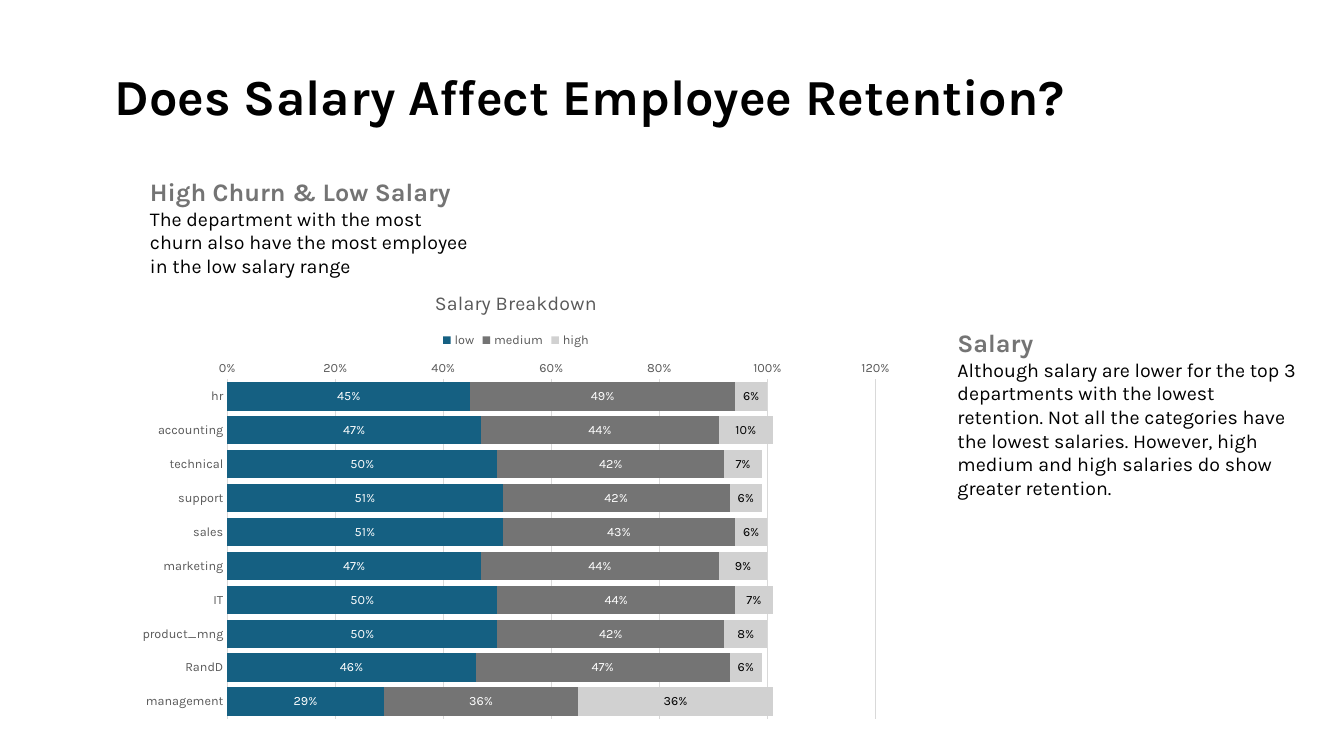
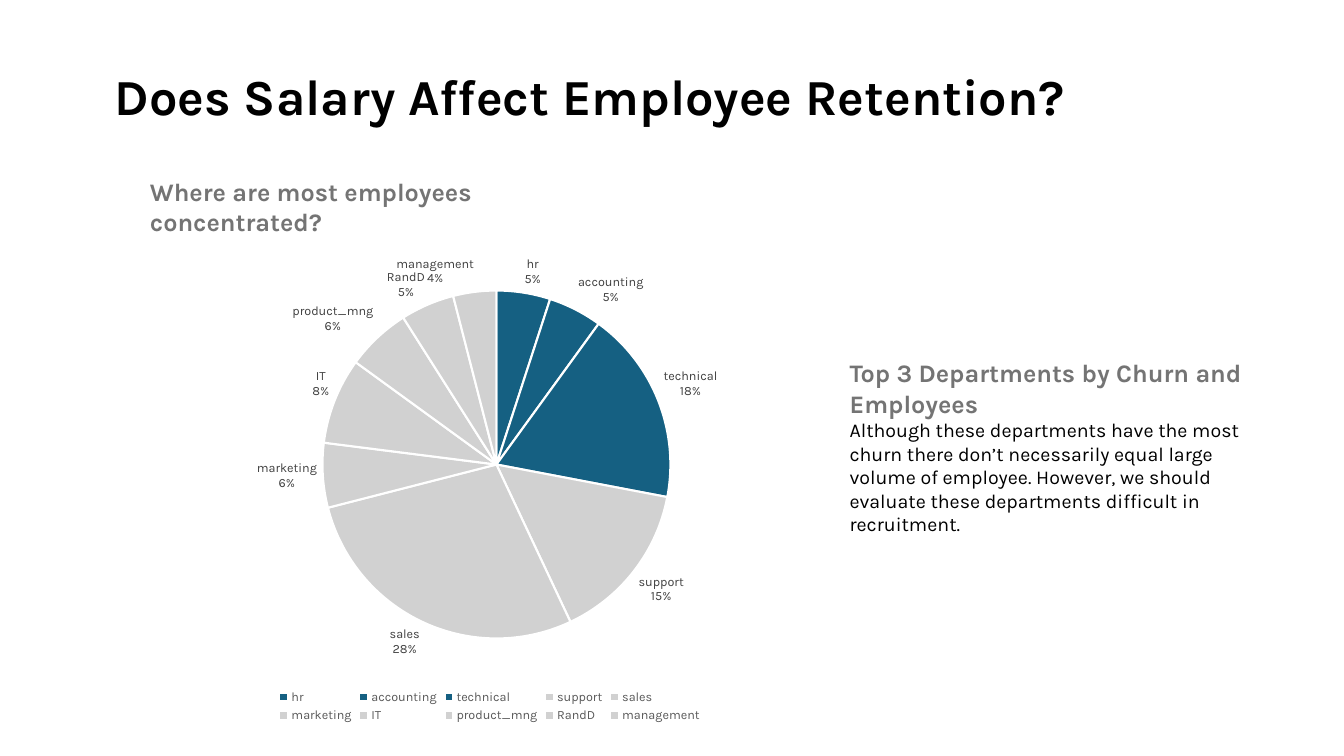
from pptx import Presentation
from pptx.chart.data import CategoryChartData
from pptx.dml.color import RGBColor
from pptx.enum.chart import XL_CHART_TYPE, XL_LABEL_POSITION, XL_LEGEND_POSITION, XL_TICK_MARK
from pptx.enum.text import MSO_ANCHOR, MSO_AUTO_SIZE, PP_ALIGN
from pptx.util import Cm, Pt

FONT = "Karla"
COLORS = {"black": "000000", "white": "FFFFFF", "blue": "156082", "gray": "747474",
          "light": "D1D1D1", "grid": "D9D9D9", "axis": "595959", "label": "404040"}
TITLE = "Does Salary Affect Employee Retention?"
DEPARTMENTS = ["hr", "accounting", "technical", "support", "sales",
               "marketing", "IT", "product_mng", "RandD", "management"]


def rgb(name):
    return RGBColor.from_string(COLORS[name])


def set_font(font, size, color, bold=False):
    font.name, font.size, font.bold = FONT, Pt(size), bold
    font.color.rgb = rgb(color)


# Per slide: text boxes (position, heading, body), chart position
pages = [
    {"texts": [
        ((23.88, 8.13, 9.17, 4.01), "Salary",
         "Although salary are lower for the top 3 departments with the lowest retention. "
         "Not all the categories have the lowest salaries. However, high medium and high "
         "salaries do show greater retention."),
        ((3.53, 4.32, 8.81, 2.82), "High Churn & Low Salary",
         "The department with the most churn also have the most employee in the low salary range")],
     "type": XL_CHART_TYPE.BAR_STACKED, "format": "0%", "at": (3.2, 6.86, 19.61, 11.48),
     "legend": XL_LEGEND_POSITION.TOP,
     "series": {"low": [0.45, 0.47, 0.5, 0.51, 0.51, 0.47, 0.5, 0.5, 0.46, 0.29],
                "medium": [0.49, 0.44, 0.42, 0.42, 0.43, 0.44, 0.44, 0.42, 0.47, 0.36],
                "high": [0.06, 0.1, 0.07, 0.06, 0.06, 0.09, 0.07, 0.08, 0.06, 0.36]}},
    {"texts": [
        ((21.16, 8.89, 10.54, 4.88), "Top 3 Departments by Churn and Employees",
         "Although these departments have the most churn there don’t necessarily equal large "
         "volume of employee. However, we should evaluate these departments difficult in "
         "recruitment."),
        ((3.53, 4.32, 8.81, 1.8), "Where are most employees concentrated?", "")],
     "type": XL_CHART_TYPE.PIE, "format": "General", "at": (2.64, 6.1, 19.41, 12.22),
     "legend": XL_LEGEND_POSITION.BOTTOM,
     "series": {"Series 1": [5, 5, 18, 15, 28, 6, 8, 6, 5, 4]}},
]

prs = Presentation()
prs.slide_width, prs.slide_height = Cm(33.87), Cm(19.05)
charts = []

for page in pages:
    s = prs.slides.add_slide(prs.slide_layouts[5])

    # Title
    title = s.shapes.title
    title.left, title.top, title.width, title.height = Cm(2.64), Cm(1.52), Cm(28.4), Cm(1.8)
    tf = title.text_frame
    tf.vertical_anchor = MSO_ANCHOR.TOP
    tf.auto_size = MSO_AUTO_SIZE.SHAPE_TO_FIT_TEXT
    p = tf.paragraphs[0]
    p.alignment = PP_ALIGN.LEFT
    r = p.add_run()
    r.text = TITLE
    set_font(r.font, 36, "black", True)

    # Headings and comments
    for at, heading, body in page["texts"]:
        tf = s.shapes.add_textbox(*map(Cm, at)).text_frame
        tf.word_wrap = True
        tf.auto_size = MSO_AUTO_SIZE.SHAPE_TO_FIT_TEXT
        p = tf.paragraphs[0]
        r = p.add_run()
        r.text = heading
        set_font(r.font, 18, "gray", True)
        if body:
            p.add_line_break()
            r = p.add_run()
            r.text = body
            set_font(r.font, 14, "black")

    # Chart and legend
    data = CategoryChartData(number_format=page["format"])
    data.categories = DEPARTMENTS
    for name, values in page["series"].items():
        data.add_series(name, values)
    chart = s.shapes.add_chart(page["type"], *map(Cm, page["at"]), data).chart
    set_font(chart.font, 10, "black")
    chart.has_title = False
    chart.has_legend = True
    chart.legend.position = page["legend"]
    chart.legend.include_in_layout = False
    set_font(chart.legend.font, 9, "axis")
    charts.append(chart)

bar, pie = charts

# Salary bars: title and series
bar.has_title = True
r = bar.chart_title.text_frame.paragraphs[0].add_run()
r.text = "Salary Breakdown"
set_font(r.font, 14, "axis")
plot = bar.plots[0]
plot.gap_width, plot.overlap = 19, 100
plot.vary_by_categories = False
for series, fill, color in zip(plot.series, ("blue", "gray", "light"), ("white", "white", "black")):
    series.format.fill.solid()
    series.format.fill.fore_color.rgb = rgb(fill)
    labels = series.data_labels
    labels.show_value = True
    labels.number_format, labels.number_format_is_linked = "0%", False
    labels.position = XL_LABEL_POSITION.CENTER
    set_font(labels.font, 9, color)

# Salary bars: axes
cat_axis, val_axis = bar.category_axis, bar.value_axis
for axis in (cat_axis, val_axis):
    axis.major_tick_mark = axis.minor_tick_mark = XL_TICK_MARK.NONE
    set_font(axis.tick_labels.font, 9, "axis")
cat_axis.reverse_order = True
val_axis.minimum_scale, val_axis.maximum_scale, val_axis.major_unit = 0, 1.2, 0.2
val_axis.tick_labels.number_format = "0%"
val_axis.tick_labels.number_format_is_linked = False
val_axis.format.line.fill.background()
for line in (cat_axis.format.line, val_axis.major_gridlines.format.line):
    line.color.rgb = rgb("grid")
    line.width = Pt(0.75)

# Employee pie: the top three departments stand out
plot = pie.plots[0]
plot.vary_by_categories = True
for i in range(len(DEPARTMENTS)):
    fmt = plot.series[0].points[i].format
    fmt.fill.solid()
    fmt.fill.fore_color.rgb = rgb("blue" if i < 3 else "light")
    fmt.line.color.rgb = rgb("white")
    fmt.line.width = Pt(1.5)
labels = plot.series[0].data_labels
labels.show_value = False
labels.show_category_name = labels.show_percentage = True
labels.number_format, labels.number_format_is_linked = "0%", False
labels.position = XL_LABEL_POSITION.OUTSIDE_END
set_font(labels.font, 9, "label")

prs.save("out.pptx")
